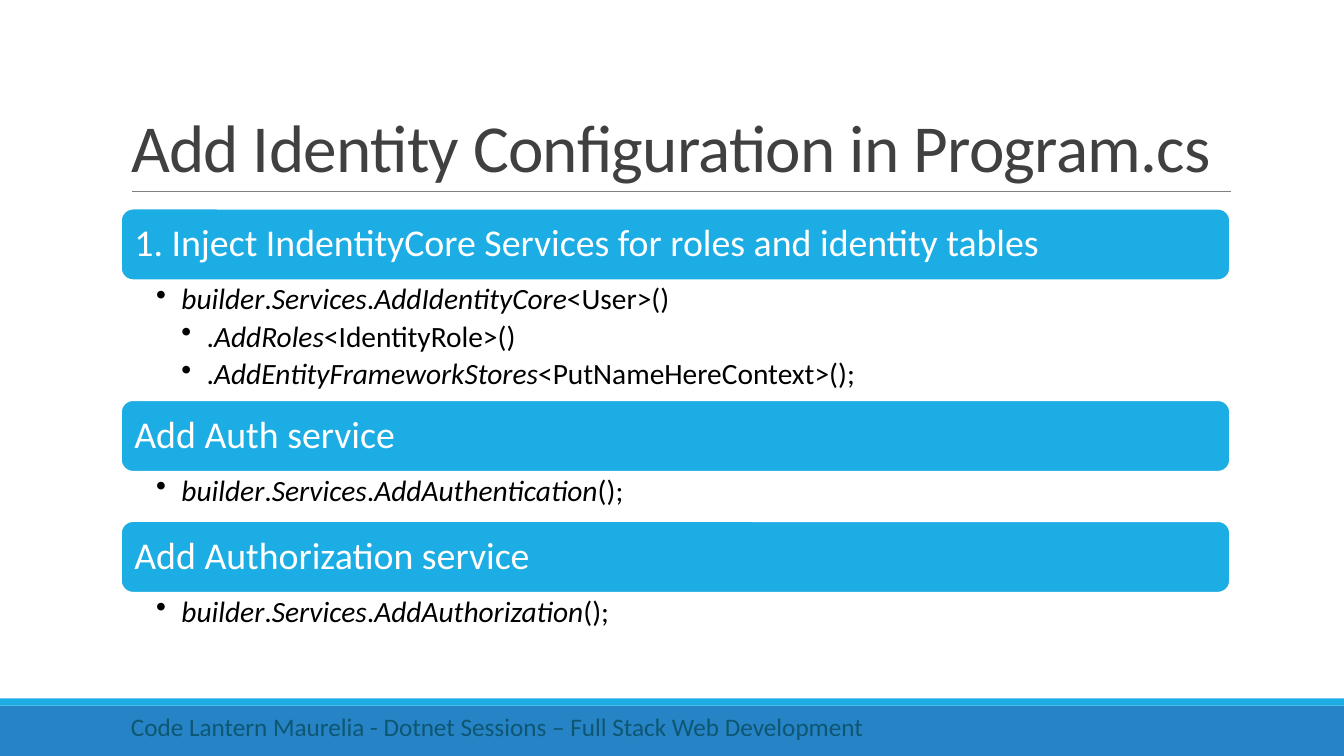
"""Build the slide on adding identity configuration in Program.cs."""
from lxml import etree
from pptx import Presentation
from pptx.dml.color import RGBColor
from pptx.enum.shapes import MSO_CONNECTOR, MSO_SHAPE
from pptx.enum.text import MSO_ANCHOR, MSO_AUTO_SIZE, PP_ALIGN
from pptx.oxml.ns import qn
from pptx.util import Inches, Pt

COLORS = {
    "bar": "2683C6", "accent": "1CADE4", "rule": "808080", "title": "404040",
    "white": "FFFFFF", "code": "000000", "footer": "0E5772",
}
STEPS = [
    ("1. Inject IndentityCore Services for roles and identity tables",
     [(1, "*builder*.*Services*.*AddIdentityCore*<User>()"),
      (2, ".*AddRoles*<IdentityRole>()"),
      (2, ".*AddEntityFrameworkStores*<PutNameHereContext>();")]),
    ("Add Auth service", [(1, "*builder*.*Services*.*AddAuthentication*();")]),
    ("Add Authorization service", [(1, "*builder*.*Services*.*AddAuthorization*();")]),
]
LEFT, WIDTH, BAND_H = 1.2, 11, 0.71


def rgb(name):
    return RGBColor.from_string(COLORS[name])


def add_text(p, text, size, color, line=None, after=0, spacing=None):
    """Fill a paragraph, setting the parts between asterisks in italics."""
    p.alignment = PP_ALIGN.LEFT
    p.line_spacing = line
    p.space_before, p.space_after = Pt(0), Pt(after)
    for i, part in enumerate(text.split("*")):
        if not part:
            continue
        r = p.add_run()
        r.text = part
        r.font.name, r.font.size = "Calibri", Pt(size)
        r.font.italic = i % 2 == 1
        r.font.color.rgb = rgb(color)
        if spacing:
            r.font._element.set("spc", str(spacing))


prs = Presentation()
prs.slide_width, prs.slide_height = Inches(13.33), Inches(7.5)
s = prs.slides.add_slide(prs.slide_layouts[5])

for top, height, color in [(7, 0.5, "bar"), (6.93, 0.07, "accent")]:
    sp = s.shapes.add_shape(MSO_SHAPE.RECTANGLE, 0, Inches(top), prs.slide_width, Inches(height))
    sp.shadow.inherit = False
    sp.fill.solid()
    sp.fill.fore_color.rgb = rgb(color)
    sp.line.fill.background()

rule = s.shapes.add_connector(
    MSO_CONNECTOR.STRAIGHT, Inches(1.31), Inches(1.9), Inches(12.21), Inches(1.9))
rule.line.color.rgb, rule.line.width = rgb("rule"), Pt(0.5)
etree.SubElement(rule._element.spPr, qn("a:effectLst"))

title = s.shapes.title
title.left, title.top = Inches(LEFT), Inches(0.31)
title.width, title.height = Inches(WIDTH), Inches(1.59)
tf = title.text_frame
tf.auto_size, tf.vertical_anchor = MSO_AUTO_SIZE.NONE, MSO_ANCHOR.BOTTOM
add_text(tf.paragraphs[0], "Add Identity Configuration in Program.cs", 48, "title",
         line=0.85, spacing=-50)

top = 2.07
for heading, code in STEPS:
    band = s.shapes.add_shape(MSO_SHAPE.ROUNDED_RECTANGLE, Inches(LEFT), Inches(top),
                              Inches(WIDTH), Inches(BAND_H))
    band.shadow.inherit = False
    band.fill.solid()
    band.fill.fore_color.rgb = rgb("accent")
    band.line.color.rgb, band.line.width = rgb("white"), Pt(1.25)
    tf = band.text_frame
    tf.margin_left = tf.margin_right = Inches(0.1)
    tf.vertical_anchor = MSO_ANCHOR.MIDDLE
    add_text(tf.paragraphs[0], heading, 27, "white", line=0.9)
    top += BAND_H

    height = 0.14 + 0.35 * len(code)
    box = s.shapes.add_textbox(Inches(LEFT), Inches(top), Inches(WIDTH), Inches(height))
    tf = box.text_frame
    tf.word_wrap = True
    tf.margin_left, tf.margin_right = Inches(0.35), Inches(0.21)
    tf.margin_top = tf.margin_bottom = Inches(0.04)
    for i, (level, text) in enumerate(code):
        p = tf.add_paragraph() if i else tf.paragraphs[0]
        p.level = level
        add_text(p, text, 21, "code", line=0.9, after=4.2)
        pPr = p._p.get_or_add_pPr()
        pPr.set("marL", str(Inches(0.25 * level)))
        pPr.set("indent", str(Inches(-0.25)))
        etree.SubElement(pPr, qn("a:buChar"), char="•")
    top += height

footer = s.shapes.add_textbox(Inches(LEFT), Inches(7.01), Inches(7.62), Inches(0.4))
footer.text_frame.word_wrap = True
add_text(footer.text_frame.paragraphs[0],
         "Code Lantern Maurelia - Dotnet Sessions – Full Stack Web Development", 18, "footer")

prs.save("out.pptx")
